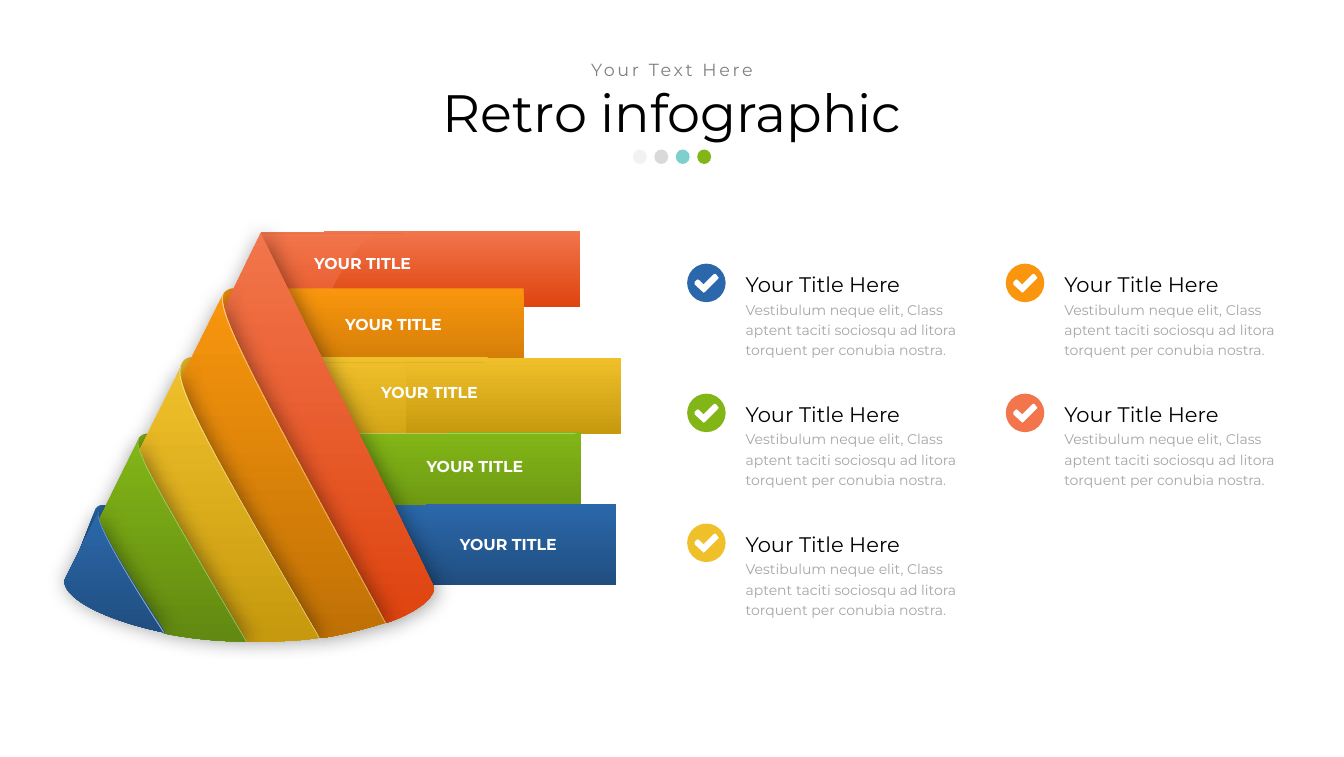
from lxml.etree import SubElement
from pptx import Presentation
from pptx.dml.color import RGBColor as RGB
from pptx.enum.shapes import MSO_SHAPE as SHAPE
from pptx.enum.text import MSO_ANCHOR as ANCHOR, PP_ALIGN as ALIGN
from pptx.oxml.ns import qn
from pptx.util import Inches, Pt


class Theme:
    font = "Montserrat"
    title, subtitle, heading, body, label = 60, 20, 24, 16, 18
    black, grey, light, white = "000000", "808080", "A6A6A6", "FFFFFF"
    red, orange = ("F2754B", "DE4410"), ("F9960E", "C07105")
    yellow, green = ("F0C02B", "C6990E"), ("82B617", "628911")
    blue = ("2B68AB", "204E80")
    brown, gloss = "915C5C", ("FFFFFF", 50)
    dots = ["F2F2F2", ("D9D9D9", 98), ("00A39B", 50), "82B617"]


def paint(s, fill):
    """Fill with a colour, a (colour, opacity %) pair or a (top, bottom) gradient."""
    s.shadow.inherit = False
    s.line.fill.background()
    first, second = (fill, 100) if isinstance(fill, str) else fill
    if isinstance(second, str):
        s.fill.gradient()
        s.fill.gradient_angle = 270
        for stop, colour in zip(s.fill.gradient_stops, fill):
            stop.color.rgb = RGB.from_string(colour)
        return
    s.fill.solid()
    s.fill.fore_color.rgb = RGB.from_string(first)
    if second < 100:
        clr = s.element.spPr.find(qn("a:solidFill"))[0]
        SubElement(clr, qn("a:alpha")).set("val", str(second * 1000))


def draw(form, fill):
    """Draw a box (tuple) or an outline (list of points and cubic curves)."""
    if isinstance(form, tuple):
        s = shapes.add_shape(SHAPE.RECTANGLE, *map(Inches, form))
    else:
        points = [form[0]]
        for seg in form[1:]:
            if len(seg) == 2:
                points.append(seg)
                continue
            p0, p1, p2, p3 = points[-1], seg[:2], seg[2:4], seg[4:]
            for t in (i / 16 for i in range(1, 17)):
                u = 1 - t
                points.append(tuple(
                    u**3 * a + 3 * u * u * t * b + 3 * u * t * t * c + t**3 * d
                    for a, b, c, d in zip(p0, p1, p2, p3)))
        points = [(Inches(x), Inches(y)) for x, y in points]
        builder = shapes.build_freeform(*points[0])
        builder.add_line_segments(points[1:], close=True)
        s = builder.convert_to_shape()
    paint(s, fill)
    return s


prs = Presentation()
prs.slide_width, prs.slide_height = Inches(21.3), Inches(12)
slide = prs.slides.add_slide(prs.slide_layouts[5])
shapes = slide.shapes

# Ribbon tails behind the cone
tails = [
    (Theme.red, (5.13, 3.66, 4.06, 1.21)),
    (Theme.red, [(4.13, 3.67), (4.64, 5.95), (4.72, 5.69, 5.12, 4.88, 5.22, 4.66),
                 (5.56, 3.89, 5.98, 3.67, 5.98, 3.67)]),
    (Theme.orange, [(3.71, 4.57), (8.3, 4.57), (8.3, 5.7), (6.11, 5.7), (5.99, 5.92),
                    (5.86, 6.22, 2.97, 5.99, 2.84, 6.33), (3.55, 4.65),
                    (3.55, 4.65, 3.59, 4.57, 3.71, 4.57)]),
    (Theme.yellow, [(2.89, 5.75), (2.18, 7.43), (2.31, 7.08, 6.5, 7.32, 6.63, 7.03),
                    (7, 6.15, 7.74, 5.66, 7.74, 5.66), (3.06, 5.66),
                    (2.92, 5.66, 2.89, 5.75, 2.89, 5.75)]),
    (Theme.yellow, (6.44, 5.67, 3.41, 1.21)),
    (Theme.green, [(7.09, 6.85), (9.21, 6.85), (9.21, 8), (7.29, 8), (7.17, 8.26),
                   (7.04, 8.57, 1.62, 8.33, 1.49, 8.68), (2.2, 6.95),
                   (2.2, 6.95, 2.23, 6.87, 2.37, 6.87), (7.09, 6.87)]),
    (Theme.blue, [(1.66, 8), (1.53, 8, 1.51, 8.08, 1.51, 8.08), (1.09, 9.16),
                  (1.14, 8.99, 2.95, 9.16, 4.02, 9.27), (6.97, 9.27),
                  (7.3, 8.45, 7.92, 8, 7.92, 8)]),
    (Theme.blue, (6.75, 7.99, 3.02, 1.28)),
    (Theme.brown, (5.09, 5.74, 2.6, 0)),
    (Theme.brown, (6.18, 8.01, 2.61, 0)),
    (Theme.brown, (4.13, 3.7, 2.26, 0)),
    (Theme.gloss, (5.63, 6.87, 3.49, 0.01)),
]
for fill, form in tails:
    draw(form, fill)

# Slanted strips on the front of the cone, each with a soft shadow
strips = [
    (Theme.red, [(6.88, 9.31), (4.13, 3.69), (3.61, 4.77),
                 (3.48, 5.02, 3.24, 5.78, 6.11, 9.88), (6.57, 9.72, 6.86, 9.51, 6.88, 9.33)]),
    (Theme.orange, [(2.92, 5.91), (2.51, 6.73, 4.05, 8.71, 5.06, 10.12),
                    (5.46, 10.06, 5.82, 9.96, 6.11, 9.87), (4.01, 5.99, 3.41, 4.91, 3.55, 4.63)]),
    (Theme.yellow, [(2.16, 7.24), (2.59, 8.15, 3.24, 9.02, 3.91, 10.17), (4.06, 10.17),
                    (4.41, 10.17, 4.76, 10.16, 5.06, 10.11), (3.38, 7.21, 2.76, 6.1, 2.87, 5.81)]),
    (Theme.green, [(1.52, 8.34), (1.83, 8.92, 2.23, 9.38, 2.6, 10.04),
                   (2.99, 10.12, 3.44, 10.17, 3.91, 10.17), (2.47, 7.7, 2.12, 7.13, 2.2, 6.95)]),
    (Theme.blue, [(1.02, 9.2), (1.02, 9.23), (1.05, 9.51, 1.69, 9.84, 2.62, 10.03),
                  (1.69, 8.61, 1.52, 8.2, 1.56, 8.11)]),
]
for fill, form in strips:
    s = draw(form, fill)
    effects = s.element.spPr.find(qn("a:effectLst"))
    shadow = SubElement(effects, qn("a:outerShdw"), blurRad=str(Pt(24)), dist=str(Pt(3)),
                        dir="0", algn="ctr", rotWithShape="0")
    clr = SubElement(shadow, qn("a:srgbClr"), val=Theme.black)
    SubElement(clr, qn("a:alpha"), val="40000")

# Glossy edges between the strips
edges = [
    [(3.53, 4.66), (3.41, 4.92, 4, 6.01, 6.1, 9.87), (6.11, 9.87), (4, 5.99, 3.41, 4.91, 3.55, 4.63)],
    [(2.85, 5.83), (2.77, 6.16, 3.41, 7.27, 5.06, 10.12), (5.06, 10.1),
     (3.38, 7.21, 2.75, 6.1, 2.87, 5.81)],
    [(2.2, 6.96), (2.12, 7.15, 2.46, 7.71, 3.9, 10.17), (3.91, 10.17),
     (2.46, 7.7, 2.12, 7.13, 2.2, 6.95)],
    [(1.56, 8.12), (1.52, 8.22, 1.68, 8.62, 2.59, 10.03), (2.61, 10.03),
     (1.68, 8.61, 1.52, 8.2, 1.56, 8.11)],
]
for form in edges:
    draw(form, Theme.gloss)

# Dots under the title
for i, fill in enumerate(Theme.dots):
    paint(shapes.add_shape(SHAPE.OVAL, *map(Inches, (10.03 + 0.34 * i, 2.37, 0.22, 0.23))), fill)

# Text boxes: text, box, size, colour, line spacing
texts = [("YOUR TITLE", (x, y, 3.34, 0.54), Theme.label, Theme.white, 1)
         for x, y in [(4.82, 3.94), (5.31, 4.91), (5.88, 5.99), (6.6, 7.16), (7.13, 8.39)]]

# Check list on a grid of two columns and three rows
left, top, col_step, row_step = 10.89, 4.18, 5.05, 2.06
tick = [(0.49, 0.24), (0.28, 0.45), (0.26, 0.46), (0.25, 0.45), (0.12, 0.33), (0.12, 0.29),
        (0.15, 0.26), (0.17, 0.25), (0.19, 0.26), (0.26, 0.33), (0.42, 0.17), (0.44, 0.16),
        (0.46, 0.17), (0.49, 0.21), (0.5, 0.22)]
items = [(0, 0, Theme.blue), (0, 1, Theme.green), (0, 2, Theme.yellow),
         (1, 0, Theme.orange), (1, 1, Theme.red)]
for col, row, (colour, _) in items:
    x, y = left + col * col_step, top + row * row_step
    paint(shapes.add_shape(SHAPE.OVAL, *map(Inches, (x, y, 0.61, 0.61))), colour)
    draw([(x + dx, y + dy) for dx, dy in tick], Theme.white)
    texts += [
        ("Your Title Here", (x + 0.83, y, 3.73, 0.55), Theme.heading, Theme.black, 1.2),
        ("Vestibulum neque elit, Class aptent taciti sociosqu ad litora torquent per conubia nostra.",
         (x + 0.83, y + 0.49, 3.66, 1.07), Theme.body, Theme.light, 1.2),
    ]

texts += [("Your Text Here", (7.48, 0.95, 6.34, 0.35), Theme.subtitle, Theme.grey, 0.9),
          ("Retro infographic", (1.02, 1.31, 19.26, 1.03), Theme.title, Theme.black, 0.9)]
for text, box, size, colour, spacing in texts:
    s = shapes.title if size == Theme.title else shapes.add_textbox(0, 0, 0, 0)
    s.left, s.top, s.width, s.height = map(Inches, box)
    tf = s.text_frame
    tf.text, tf.word_wrap = text, True
    p = tf.paragraphs[0]
    p.line_spacing = spacing
    r = p.runs[0]
    r.font.name, r.font.size = Theme.font, Pt(size)
    r.font.color.rgb = RGB.from_string(colour)
    if size == Theme.label:
        r.font.bold = True
        tf.margin_left = tf.margin_right = Inches(0.16)
        tf.margin_top = tf.margin_bottom = Inches(0.08)
    if size in (Theme.title, Theme.subtitle):
        p.alignment = ALIGN.CENTER
        tf.vertical_anchor = ANCHOR.MIDDLE
    if size == Theme.subtitle:
        r.font.element.set("spc", "300") if hasattr(r.font, "element") else r._r.get_or_add_rPr().set("spc", "300")

prs.save("out.pptx")
